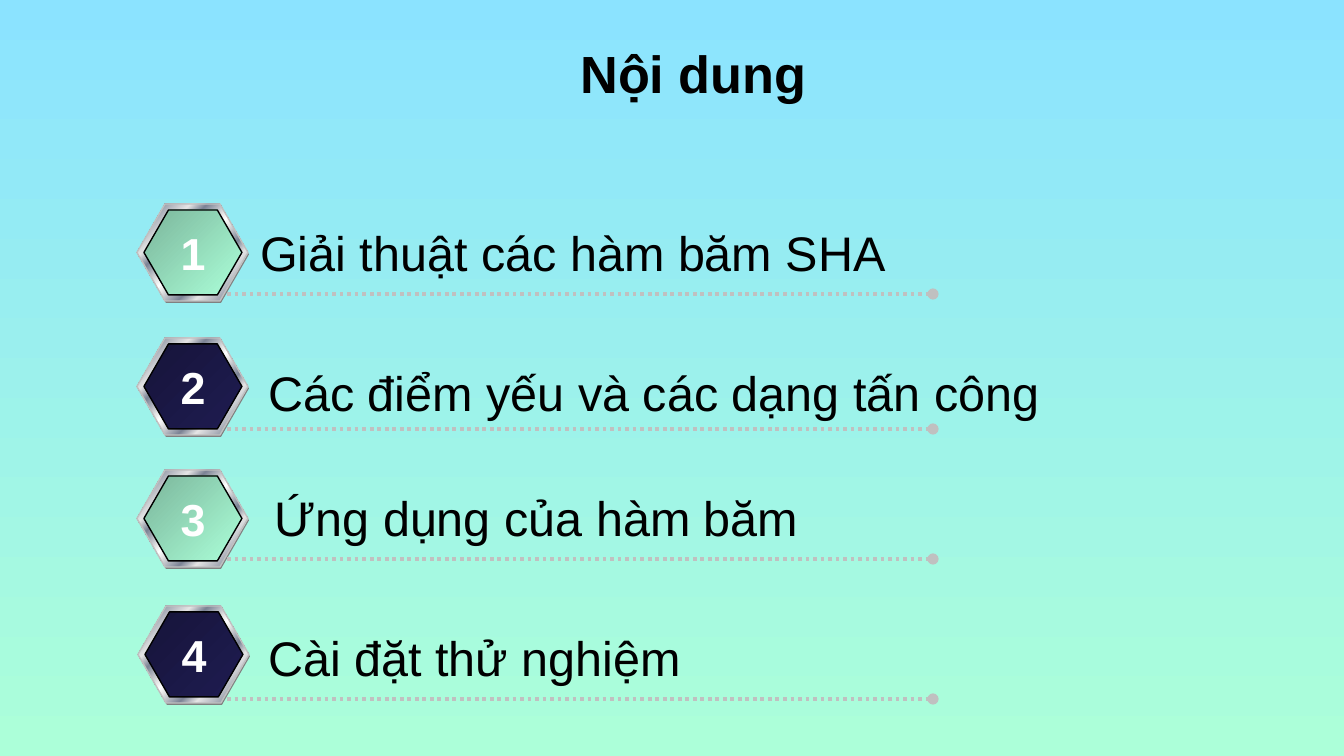
from pptx import Presentation
from pptx import util as u
from pptx.dml.color import RGBColor
from pptx.enum import dml, shapes, text
from pptx.oxml.ns import qn
from lxml import etree

SCALE = 9144000 / 1344  # EMU per px
METAL = [(0, "E6E6E6"), (8, "7D8496"), (26, "E6E6E6"), (34, "7D8496"),
         (46, "E6E6E6"), (50, "FFFFFF"), (54, "E6E6E6"), (66, "7D8496"),
         (74, "E6E6E6"), (92, "7D8496"), (100, "E6E6E6")]
GREEN = [(0, "7BB69B"), (100, "ACFFD9")]
NAVY = [(0, "16143A"), (100, "1F1C51")]
SKY = [(0, "8BE3FF"), (100, "ACFFD9")]


def px(length):
    return u.Emu(round(length * SCALE))


def color(value):
    return RGBColor.from_string(value)


class Agenda:
    font = "Arial"
    ink = "000000"
    silver = "C0C0C0"

    def __init__(self, presentation):
        self.slide = presentation.slides.add_slide(presentation.slide_layouts[5])

    def gradient(self, fill, element, stops, angle):
        fill.gradient()
        fill.gradient_angle = 360 - angle  # python-pptx counts anticlockwise
        stop_list = element.find(".//" + qn("a:gsLst"))
        for old in list(stop_list):
            stop_list.remove(old)
        for position, value in stops:
            stop = etree.SubElement(stop_list, qn("a:gs"), pos=str(position * 1000))
            etree.SubElement(stop, qn("a:srgbClr"), val=value)

    def background(self, stops):
        self.gradient(self.slide.background.fill, self.slide.element, stops, 90)

    def add_words(self, frame, words, size, ink, bold=False, centered=False):
        paragraph = frame.paragraphs[0]
        paragraph.alignment = text.PP_ALIGN.CENTER if centered else text.PP_ALIGN.LEFT
        run = paragraph.add_run()
        run.text = words
        run.font.name = self.font
        run.font.size = u.Pt(size)
        run.font.bold = bold
        run.font.color.rgb = color(ink)

    def title(self, words, left, top, width, height):
        shape = self.slide.shapes.title
        shape.left, shape.top, shape.width, shape.height = map(px, (left, top, width, height))
        frame = shape.text_frame
        frame.auto_size = text.MSO_AUTO_SIZE.NONE
        frame.vertical_anchor = text.MSO_ANCHOR.MIDDLE
        self.add_words(frame, words, 28, self.ink, bold=True, centered=True)

    def text_box(self, words, left, top, width, height, size, ink, wrap=True, **style):
        shape = self.slide.shapes.add_textbox(*map(px, (left, top, width, height)))
        frame = shape.text_frame
        frame.word_wrap = wrap
        frame.auto_size = text.MSO_AUTO_SIZE.SHAPE_TO_FIT_TEXT
        self.add_words(frame, words, size, ink, **style)

    def hexagon(self, group, left, top, width, height, fill, line=None):
        shape = group.shapes.add_shape(shapes.MSO_SHAPE.HEXAGON,
                                       *map(px, (left, top, width, height)))
        shape.shadow.inherit = False
        shape.adjustments[0] = 0.289
        shape.adjustments[1] = 1.155
        if isinstance(fill, str):
            shape.fill.solid()
            shape.fill.fore_color.rgb = color(fill)
        else:
            self.gradient(shape.fill, shape.element, fill, 45)
        if line:
            shape.line.color.rgb = color(line)
            shape.line.width = u.Pt(0.75)
        else:
            shape.line.fill.background()

    def badge(self, left, top, fill):
        group = self.slide.shapes.add_group_shape()
        self.hexagon(group, left + 1, top + 2, 111, 97, "808080")
        self.hexagon(group, left, top, 111, 97, METAL, self.silver)
        self.hexagon(group, left + 7, top + 6, 98, 85, fill, self.ink)

    def dotted_line(self, left, right, y):
        line = self.slide.shapes.add_connector(
            shapes.MSO_CONNECTOR.STRAIGHT, px(left), px(y), px(right), px(y))
        line.line.color.rgb = color(self.silver)
        line.line.width = u.Pt(2)
        line.line.dash_style = dml.MSO_LINE.ROUND_DOT
        properties = line.element.spPr
        etree.SubElement(properties.find(qn("a:ln")), qn("a:tailEnd"), type="oval")
        etree.SubElement(properties, qn("a:effectLst"))


def main():
    presentation = Presentation()
    presentation.slide_width, presentation.slide_height = px(1344), px(756)
    agenda = Agenda(presentation)
    agenda.background(SKY)
    agenda.title("Nội dung", 117, 31, 1153, 83)

    # Agenda rows: words, badge left and top, label left and top, line y
    rows = [
        ("Giải thuật các hàm băm SHA", 137, 204, 247, 216, 294),
        ("Các điểm yếu và các dạng tấn công", 137, 338, 255, 356, 429),
        ("Ứng dụng của hàm băm", 137, 470, 261, 481, 559),
        ("Cài đặt thử nghiệm", 138, 606, 255, 621, 699),
    ]
    for number, (words, left, top, label_left, label_top, line_y) in enumerate(rows, 1):
        agenda.badge(left, top, GREEN if number % 2 else NAVY)
        agenda.dotted_line(227, 933, line_y)
        agenda.text_box(words, label_left, label_top, 946, 73, 26, agenda.ink)
        agenda.text_box(str(number), left + 30, top + 15, 52, 67, 24, "FFFFFF",
                        wrap=False, bold=True, centered=True)

    presentation.save("out.pptx")


if __name__ == "__main__":
    main()
